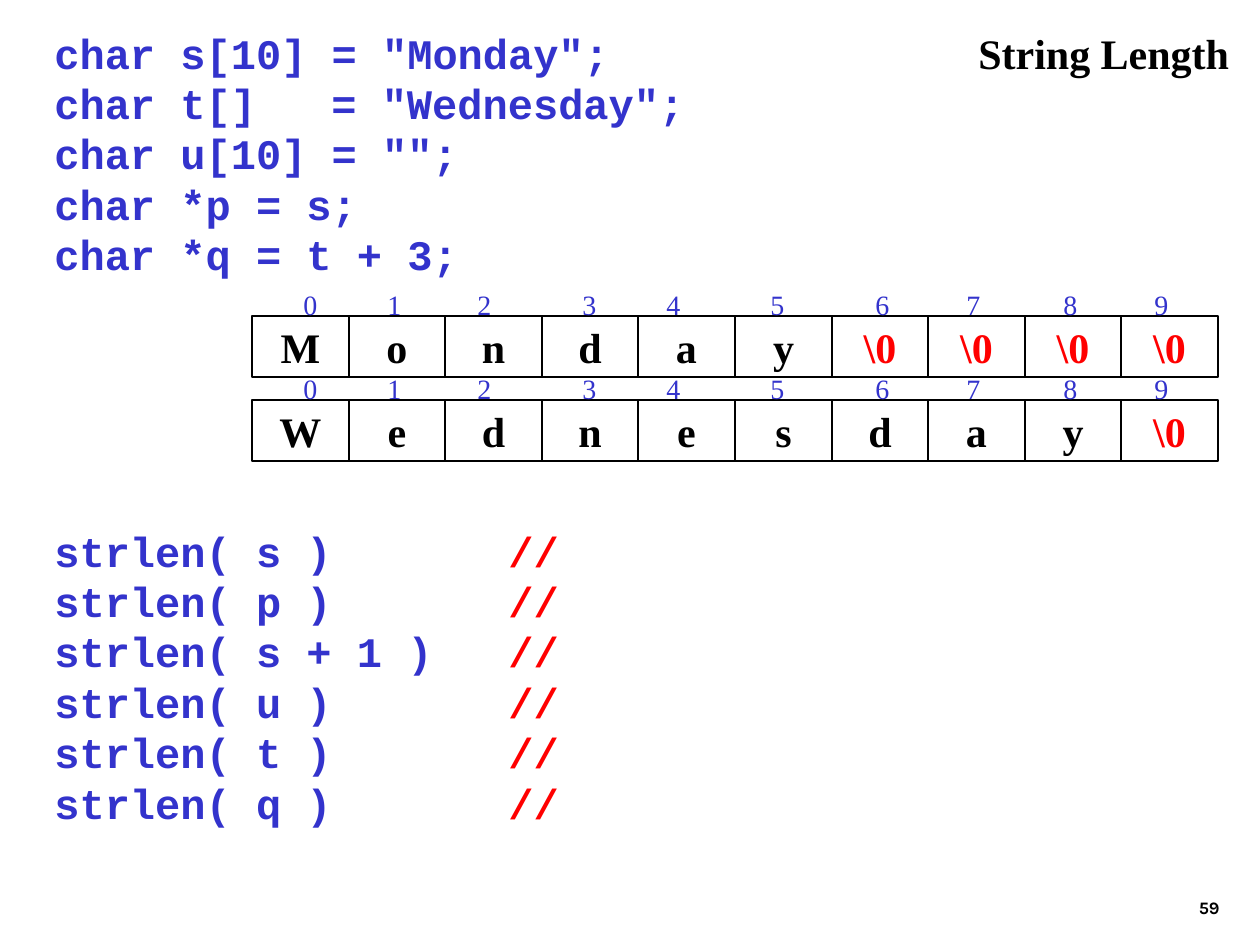
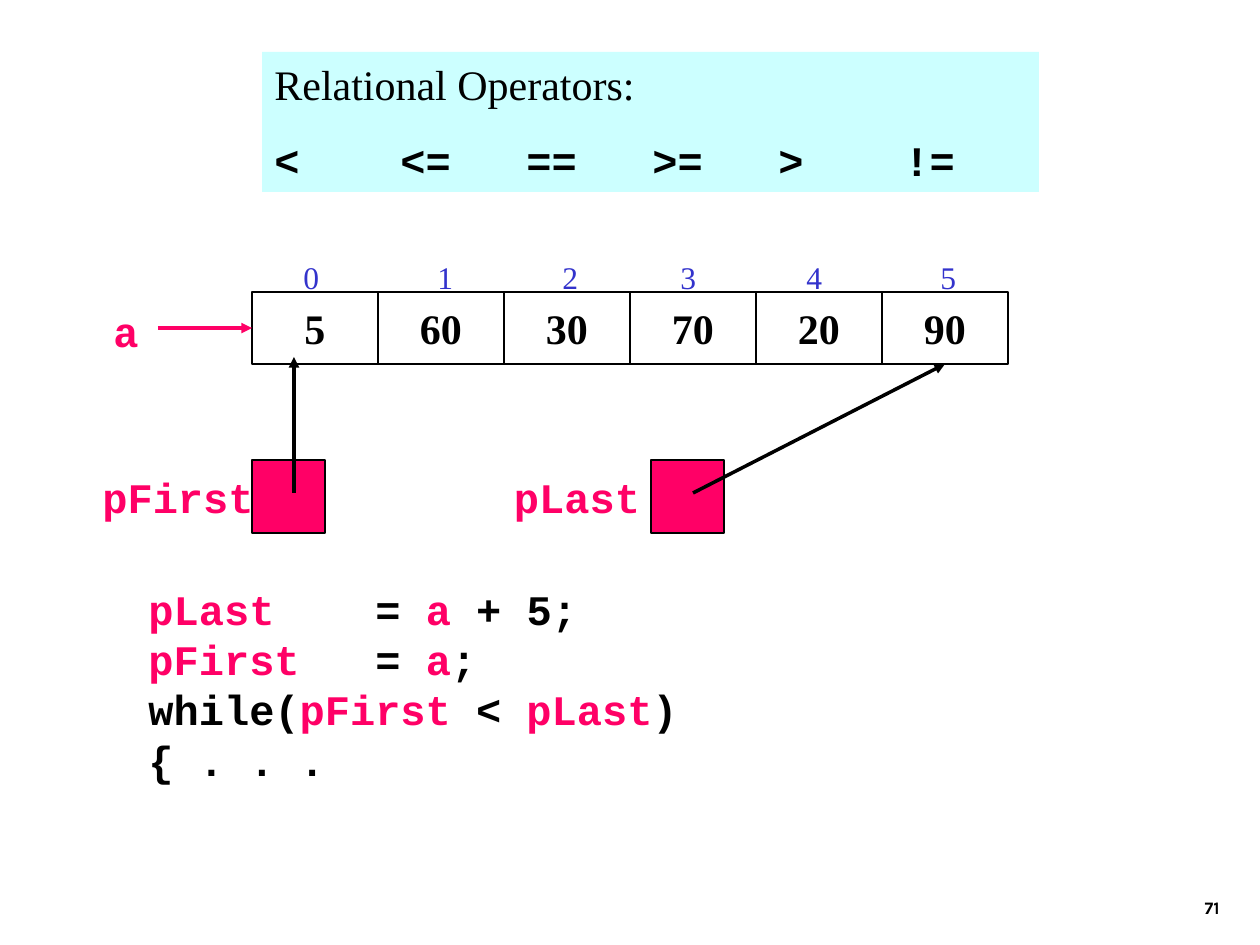
"""Two slides on C strings and pointer comparison, with arrays drawn as rows of cells."""
from lxml.etree import SubElement
from pptx import Presentation
from pptx.dml.color import RGBColor as Rgb
from pptx.enum.shapes import MSO_CONNECTOR as Connector, MSO_SHAPE as Shape
from pptx.enum.text import MSO_ANCHOR as Anchor, PP_ALIGN as Align
from pptx.oxml.ns import qn
from pptx.util import Emu, Pt

PX = 914400 / 126
COLORS = {"ink": "000000", "code": "3333CC", "red": "FF0000", "pink": "FF0066", "panel": "CCFFFF"}
SERIF, MONO, FOOTER = "Times New Roman", "Courier New", "Karla"


def add_box(slide, place, lines, fill=None, outline=None, font=SERIF, size=24, color="ink",
            bold=True, align=Align.LEFT, anchor=Anchor.TOP, wrap=True, tabs=()):
    """Add a rectangle or text box whose lines are strings or lists of (text, color)."""
    frame = [Emu(round(length * PX)) for length in place]
    if fill or outline:
        shape = slide.shapes.add_shape(Shape.RECTANGLE, *frame)
        shape.shadow.inherit = False
        if fill:
            shape.fill.solid()
            shape.fill.fore_color.rgb = Rgb.from_string(COLORS[fill])
        else:
            shape.fill.background()
        if outline:
            shape.line.color.rgb = Rgb.from_string(COLORS[outline])
            shape.line.width = Pt(0.75)
        else:
            shape.line.fill.background()
    else:
        shape = slide.shapes.add_textbox(*frame)
    text_frame = shape.text_frame
    text_frame.word_wrap = wrap
    text_frame.vertical_anchor = anchor
    for number, line in enumerate(lines):
        paragraph = text_frame.add_paragraph() if number else text_frame.paragraphs[0]
        paragraph.alignment = align
        if tabs:
            tab_list = SubElement(paragraph._p.get_or_add_pPr(), qn("a:tabLst"))
            for position in tabs:
                SubElement(tab_list, qn("a:tab"), pos=str(round(position * PX)), algn="l")
        for text, run_color in [(line, color)] if isinstance(line, str) else line:
            run = paragraph.add_run()
            run.text = text
            run.font.name, run.font.size, run.font.bold = font, Pt(size), bold
            run.font.color.rgb = Rgb.from_string(COLORS[run_color])
    return shape


def add_arrow(slide, start, end, color, target=None, site=0):
    """Add an arrow, joined to a side of the target if there is one."""
    points = [Emu(round(length * PX)) for length in (*start, *end)]
    arrow = slide.shapes.add_connector(Connector.STRAIGHT, *points)
    if target:
        arrow.end_connect(target, site)
    arrow.line.color.rgb = Rgb.from_string(COLORS[color])
    arrow.line.width = Pt(2)
    properties = arrow.element.spPr
    SubElement(properties.find(qn("a:ln")), qn("a:tailEnd"), type="triangle")
    SubElement(properties, qn("a:effectLst"))


presentation = Presentation()
presentation.slide_width, presentation.slide_height = Emu(round(1260 * PX)), Emu(round(945 * PX))
strings_slide, pointers_slide = [
    presentation.slides.add_slide(presentation.slide_layouts[6]) for _ in range(2)]
for slide, page in ((strings_slide, "59"), (pointers_slide, "71")):
    add_box(slide, (970, 861, 262, 63), [page], font=FOOTER, size=10,
            align=Align.RIGHT, anchor=Anchor.BOTTOM)

calls = ["s", "p", "s + 1", "u", "t", "q"]
add_box(strings_slide, (42, 519, 809, 365),
        [[(f"strlen( {argument} )\t", "code"), ("//", "red")] for argument in calls],
        font=MONO, tabs=[454])
declarations = ['char s[10] = "Monday";', 'char t[]\t= "Wednesday";', 'char u[10] = "";',
                "char *p = s;", "char *q = t + 3;"]
add_box(strings_slide, (42, 21, 935, 315), declarations, font=MONO, color="code", tabs=[277])
add_box(strings_slide, (966, 21, 276, 63), ["String Length"], wrap=False)

word_tabs = [39, 123, 213, 318, 402, 506, 611, 702, 799, 890]
number_tabs = [39, 173, 298, 416, 542, 676]
NUL = "\\0"
arrays = [
    (strings_slide, [*"Monday", NUL, NUL, NUL, NUL], 316, 966, 61, 42, 16, word_tabs),
    (strings_slide, [*"Wednesday", NUL], 400, 966, 61, 42, 16, word_tabs),
    (pointers_slide, ["5", "60", "30", "70", "20", "90"], 292, 756, 72, 51, 18, number_tabs),
]
for slide, values, top, width, height, rise, index_size, index_tabs in arrays:
    edges = [252 + round(width * i / len(values)) for i in range(len(values) + 1)]
    cells = [add_box(slide, (left, top, right - left, height), [value], outline="ink",
                     color="red" if value == NUL else "ink", align=Align.CENTER,
                     anchor=Anchor.MIDDLE, wrap=False)
             for value, left, right in zip(values, edges, edges[1:])]
    indices = "".join(f"\t{i}" for i in range(len(values)))
    add_box(slide, (252, top - rise, width, height), [indices], size=index_size, color="code",
            bold=False, anchor=Anchor.MIDDLE, tabs=index_tabs)

operators = ["<", "<=", "==", ">=", ">", "!="]
panel = add_box(pointers_slide, (262, 52, 777, 140), ["Relational Operators:", "\t".join(operators)],
                fill="panel", bold=False, tabs=[126 * i for i in range(1, 8)])
operator_line = panel.text_frame.paragraphs[1]
operator_line.space_before = Pt(15)
for run in operator_line.runs:
    run.font.name, run.font.bold = MONO, True

loop_code = [
    [("pLast", "pink"), ("\t= ", "ink"), ("a ", "pink"), ("+ 5;", "ink")],
    [("pFirst", "pink"), ("\t= ", "ink"), ("a", "pink"), (";", "ink")],
    [("while(", "ink"), ("pFirst ", "pink"), ("< ", "ink"), ("pLast", "pink"), (")", "ink")],
    "{ . . .",
]
add_box(pointers_slide, (136, 577, 1040, 214), loop_code, font=MONO, tabs=[227])

for name, center, top in (("a", 126, 294), ("pLast", 577, 460), ("pFirst", 178, 460)):
    add_box(pointers_slide, (center - 95, top, 190, 73), [name], font=MONO, color="pink",
            align=Align.CENTER, anchor=Anchor.MIDDLE, wrap=False)
for left in (651, 252):
    add_box(pointers_slide, (left, 460, 73, 73), [], fill="pink", outline="ink")
add_arrow(pointers_slide, (158, 328), (252, 328), "pink", cells[0], 1)
add_arrow(pointers_slide, (693, 493), (945, 364), "ink", cells[-1], 2)
add_arrow(pointers_slide, (294, 493), (294, 357), "ink")

presentation.save("out.pptx")
